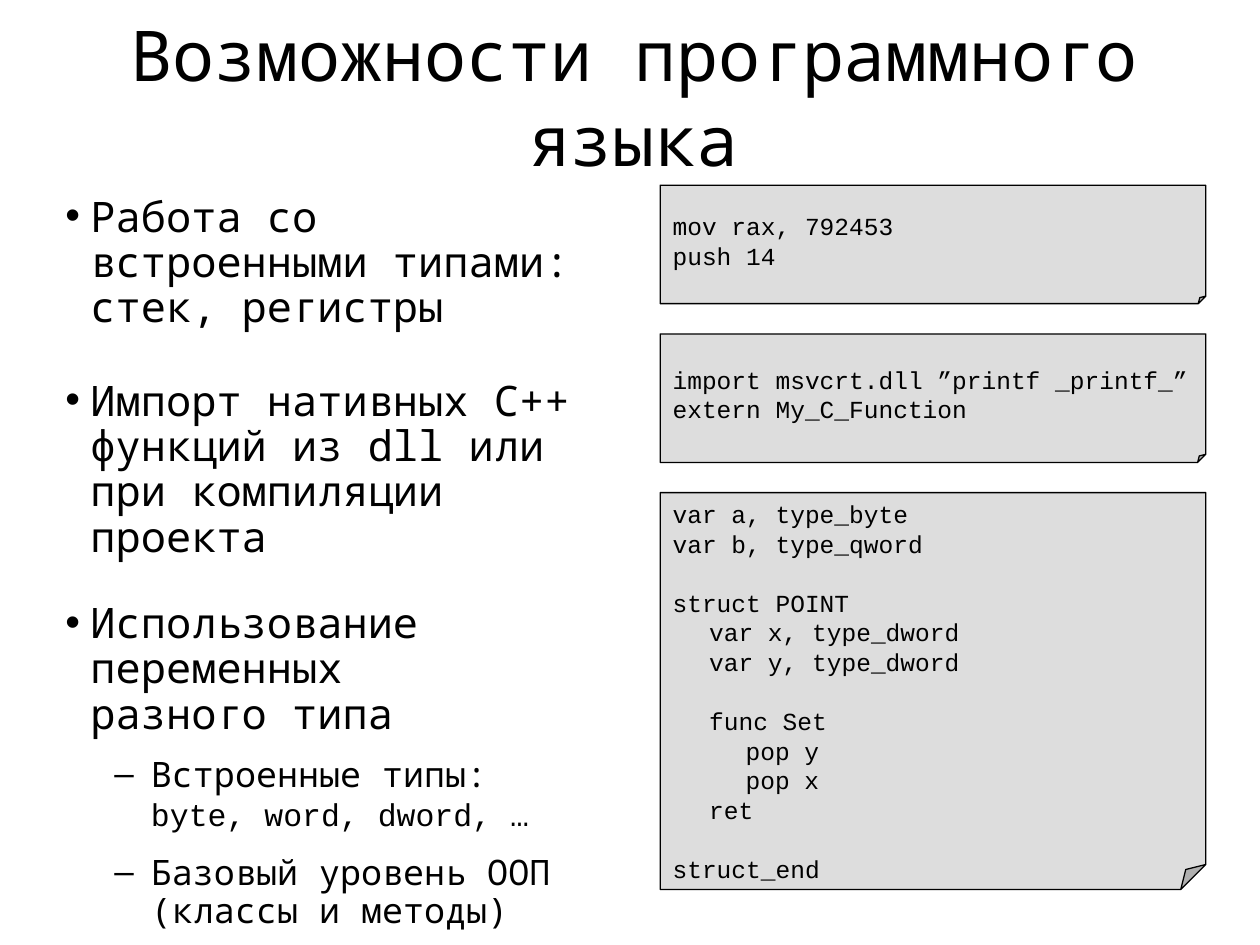
import dataclasses

import pptx
import pptx.dml.color
import pptx.enum.shapes
import pptx.enum.text
import pptx.oxml.ns
import pptx.util
from lxml import etree
from pptx.util import Inches

BLACK = pptx.dml.color.RGBColor(0x00, 0x00, 0x00)
NOTE_FILL = pptx.dml.color.RGBColor(0xDD, 0xDD, 0xDD)
MONO = "Noto Sans Mono"
CODE = "Courier New"
CODE_LEADING = 16.9
CODE_INDENT = 0.29
NOTE_LEFT, NOTE_WIDTH = 5.24, 4.33
NOTE_FOLD = 6300  # corner size, in 1/100000 of the shorter side
ANCHOR = pptx.enum.text.MSO_ANCHOR


@dataclasses.dataclass
class Bullet:
    text: str
    before: float
    level: int = 0
    # One (font, size) pair for each line separated by a line break
    fonts: tuple = ((MONO, 24),)


@dataclasses.dataclass
class CodeLine:
    text: str
    depth: int = 0
    gap: bool = False


@dataclasses.dataclass
class Note:
    top: float
    height: float
    lines: list[CodeLine]
    anchor: ANCHOR = ANCHOR.MIDDLE


@dataclasses.dataclass
class LevelStyle:
    mark: str
    margin: float
    hanging: float
    leading: float


LEVELS = [LevelStyle("•", 0.2, 0.2, 25.9), LevelStyle("–", 0.68, 0.29, 21.6)]
SUB = (MONO, 20)

BULLETS = [
    Bullet("Работа со встроенными типами: стек, регистры", 0),
    Bullet("Импорт нативных C++ функций из dll или при компиляции проекта", 27.4),
    Bullet("Использование переменных\vразного типа", 23.4, 0, ((MONO, 24), (MONO, 24))),
    Bullet("Встроенные типы:\vbyte, word, dword, …", 11.2, 1, (SUB, (CODE, 18))),
    Bullet("Базовый уровень ООП\v(классы и методы)", 12.5, 1, (SUB, SUB)),
]

NOTES = [
    Note(1.47, 0.94, [CodeLine("mov rax, 792453"), CodeLine("push 14")]),
    Note(2.65, 1.02, [
        CodeLine("import msvcrt.dll ”printf _printf_”"),
        CodeLine("extern My_C_Function"),
    ]),
    Note(3.91, 3.15, [
        CodeLine("var a, type_byte"),
        CodeLine("var b, type_qword"),
        CodeLine("struct POINT", gap=True),
        CodeLine("var x, type_dword", 1),
        CodeLine("var y, type_dword", 1),
        CodeLine("func Set", 1, gap=True),
        CodeLine("pop y", 2),
        CodeLine("pop x", 2),
        CodeLine("ret", 1),
        CodeLine("struct_end", gap=True),
    ], ANCHOR.TOP),
]


def format_run(r, font: str, size: float) -> None:
    r.font.name = font
    r.font.size = pptx.util.Pt(size)
    r.font.color.rgb = BLACK


def set_indent(p, margin: float, hanging: float = 0) -> None:
    pPr = p._p.get_or_add_pPr()
    pPr.set("marL", str(Inches(margin)))
    pPr.set("indent", str(-Inches(hanging)))


def set_bullet(p, mark: str) -> None:
    pPr = p._p.get_or_add_pPr()
    qn = pptx.oxml.ns.qn
    color = etree.SubElement(pPr, qn("a:buClr"))
    etree.SubElement(color, qn("a:srgbClr")).set("val", str(BLACK))
    etree.SubElement(pPr, qn("a:buFont")).set("typeface", "Arial")
    etree.SubElement(pPr, qn("a:buChar")).set("char", mark)


def set_fold(sp) -> None:
    qn = pptx.oxml.ns.qn
    guides = sp._element.spPr.find(qn("a:prstGeom")).get_or_add_avLst()
    for guide in list(guides):
        guides.remove(guide)
    guide = etree.SubElement(guides, qn("a:gd"))
    guide.set("name", "adj")
    guide.set("fmla", f"val {NOTE_FOLD}")


def add_paragraph(tf, index: int, text: str, leading: float, before: float = 0):
    p = tf.add_paragraph() if index else tf.paragraphs[0]
    p.text = text
    p.line_spacing = pptx.util.Pt(leading)
    p.space_before = pptx.util.Pt(before)
    return p


def add_title(s, text: str) -> None:
    sp = s.shapes.add_textbox(Inches(0.42), Inches(0.08), Inches(9.22), Inches(1.25))
    tf = sp.text_frame
    tf.word_wrap = True
    tf.margin_top = tf.margin_bottom = 0
    p = add_paragraph(tf, 0, text, 48.6)
    p.alignment = pptx.enum.text.PP_ALIGN.CENTER
    format_run(p.runs[0], MONO, 40)


def add_bullets(s, bullets: list[Bullet]) -> None:
    sp = s.shapes.add_textbox(Inches(0.42), Inches(1.5), Inches(4.5), Inches(5.64))
    tf = sp.text_frame
    tf.word_wrap = True
    for i, bullet in enumerate(bullets):
        style = LEVELS[bullet.level]
        p = add_paragraph(tf, i, bullet.text, style.leading, bullet.before)
        p.level = bullet.level
        set_indent(p, style.margin, style.hanging)
        set_bullet(p, style.mark)
        for r, (font, size) in zip(p.runs, bullet.fonts):
            format_run(r, font, size)


def add_note(s, note: Note) -> None:
    sp = s.shapes.add_shape(
        pptx.enum.shapes.MSO_SHAPE.FOLDED_CORNER,
        Inches(NOTE_LEFT), Inches(note.top), Inches(NOTE_WIDTH), Inches(note.height))
    set_fold(sp)
    sp.shadow.inherit = False
    sp.fill.solid()
    sp.fill.fore_color.rgb = NOTE_FILL
    sp.line.color.rgb = BLACK
    sp.line.width = pptx.util.Pt(0.75)
    tf = sp.text_frame
    tf.word_wrap = True
    tf.vertical_anchor = note.anchor
    for i, line in enumerate(note.lines):
        p = add_paragraph(tf, i, line.text, CODE_LEADING, CODE_LEADING if line.gap else 0)
        p.alignment = pptx.enum.text.PP_ALIGN.LEFT
        set_indent(p, line.depth * CODE_INDENT)
        format_run(p.runs[0], CODE, 14)


def main() -> None:
    prs = pptx.Presentation()
    prs.slide_width, prs.slide_height = Inches(10), Inches(7.5)
    s = prs.slides.add_slide(prs.slide_layouts[6])

    # Heading and feature list
    add_title(s, "Возможности программного языка")
    add_bullets(s, BULLETS)

    # Code samples
    for note in NOTES:
        add_note(s, note)

    prs.save("out.pptx")


if __name__ == "__main__":
    main()
